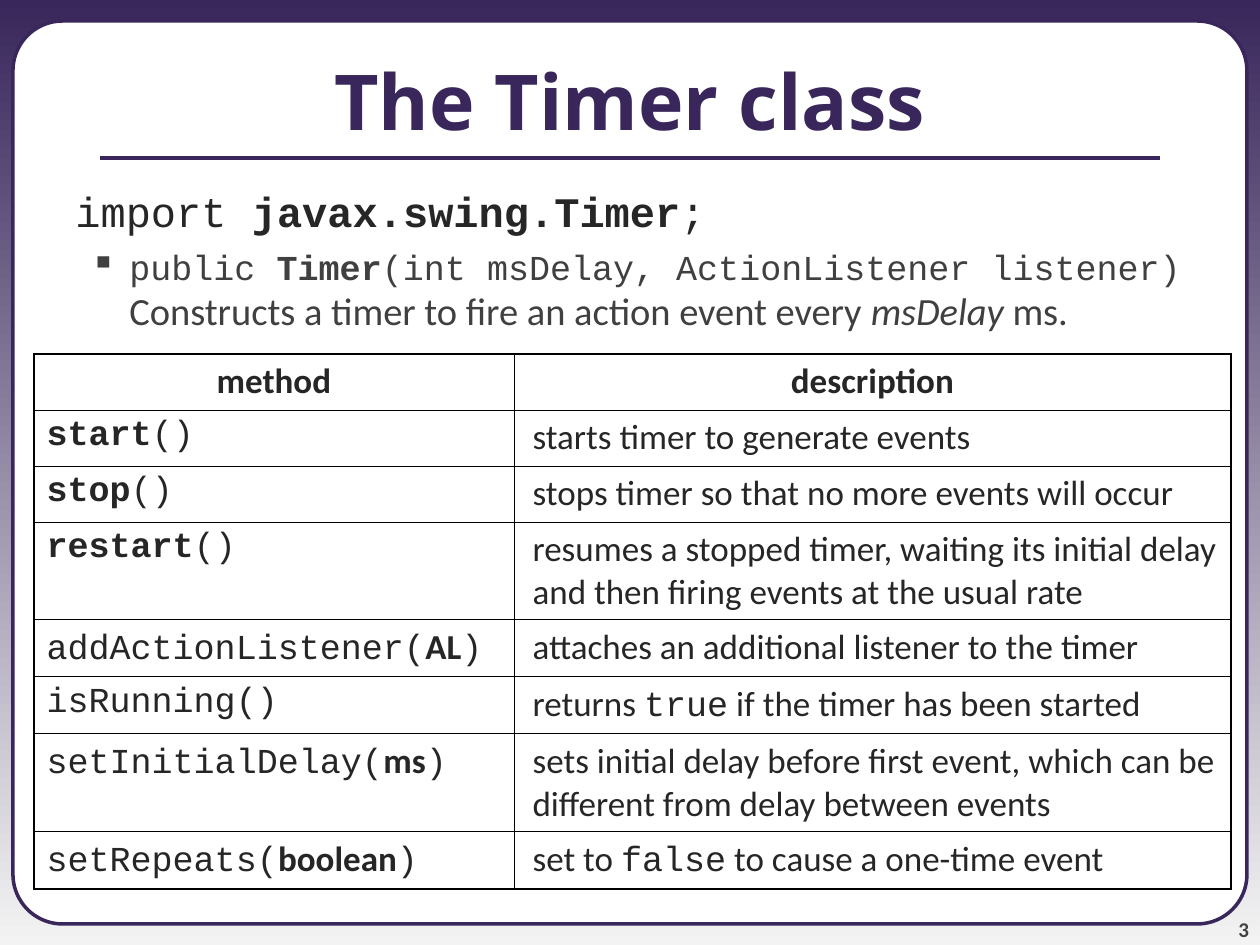
from lxml import etree
from pptx import Presentation
from pptx.dml.color import RGBColor
from pptx.enum.shapes import MSO_CONNECTOR, MSO_SHAPE
from pptx.enum.text import MSO_ANCHOR, PP_ALIGN
from pptx.oxml.ns import qn
from pptx.util import Pt

LINE = MSO_CONNECTOR.STRAIGHT
ROUNDED = MSO_SHAPE.ROUNDED_RECTANGLE
TOP, MIDDLE, BOTTOM = MSO_ANCHOR.TOP, MSO_ANCHOR.MIDDLE, MSO_ANCHOR.BOTTOM
LEFT, CENTER, RIGHT = PP_ALIGN.LEFT, PP_ALIGN.CENTER, PP_ALIGN.RIGHT

PURPLE = RGBColor(0x39, 0x27, 0x5B)
PALE = RGBColor(0xF3, 0xF3, 0xF3)
WHITE = RGBColor(0xFF, 0xFF, 0xFF)
DARK = RGBColor(0x26, 0x26, 0x26)
GREY = RGBColor(0x40, 0x40, 0x40)
NUMBER_GREY = RGBColor(0x42, 0x42, 0x42)

SANS, MONO, HEADING = "Calibri", "Courier New", "Open Sans"
SCALE = 914400 / 126

COLUMNS = [480, 717]
ROW_HEIGHTS = [56, 56, 56, 98, 57, 57, 98, 57]
METHODS = [
    ([("start", MONO, True), ("()", MONO)],
     [("starts timer to generate events", SANS)]),
    ([("stop", MONO, True), ("()", MONO)],
     [("stops timer so that no more events will occur", SANS)]),
    ([("restart", MONO, True), ("()", MONO)],
     [("resumes a stopped timer, waiting its initial delay "
       "and then firing events at the usual rate", SANS)]),
    ([("addActionListener(", MONO), ("AL", SANS, True), (")", MONO)],
     [("attaches an additional listener to the timer", SANS)]),
    ([("isRunning()", MONO)],
     [("returns ", SANS), ("true", MONO),
      (" if the timer has been started", SANS)]),
    ([("setInitialDelay(", MONO), ("ms", SANS, True), (")", MONO)],
     [("sets initial delay before first event, which can be "
       "different from delay between events", SANS)]),
    ([("setRepeats(", MONO), ("boolean", SANS, True), (")", MONO)],
     [("set to ", SANS), ("false", MONO),
      (" to cause a one-time event", SANS)]),
]


def px(n):
    """Turn pixels into EMU."""
    return round(n * SCALE)


def style_paragraph(p, size, color, align=LEFT, before=0, font=None, bold=None):
    """Set the common format of a paragraph."""
    p.alignment = align
    p.space_before = Pt(before)
    p.font.size = Pt(size)
    p.font.color.rgb = color
    p.font.name = font
    p.font.bold = bold


def indent(p, left, first=0, bullet=None):
    """Set the indents and bullet of a paragraph."""
    pPr = p._p.get_or_add_pPr()
    pPr.set("marL", str(px(left)))
    pPr.set("indent", str(px(first)))
    if bullet:
        bu = etree.Element(qn("a:buChar"), char=bullet)
        pPr.find(qn("a:defRPr")).addprevious(bu)


def add_run(p, text, font=None, bold=None, italic=None, size=None):
    """Add a run, setting only what differs from its paragraph."""
    r = p.add_run()
    r.text = text
    r.font.name = font
    r.font.bold = bold
    r.font.italic = italic
    if size:
        r.font.size = Pt(size)


def add_textbox(s, x, y, w, h, anchor=TOP):
    """Add a wrapping text box and return its text frame."""
    tf = s.shapes.add_textbox(px(x), px(y), px(w), px(h)).text_frame
    tf.word_wrap = True
    tf.vertical_anchor = anchor
    return tf


def add_label(s, box, text, anchor, **style):
    """Add a one-paragraph text box."""
    tf = add_textbox(s, *box, anchor)
    p = tf.paragraphs[0]
    style_paragraph(p, **style)
    add_run(p, text)
    return tf


def add_frame(s):
    """Draw the gradient background, white panel and title rule."""
    fill = s.background.fill
    fill.gradient()
    fill.gradient_angle = 270
    for stop, color in zip(fill.gradient_stops, (PURPLE, PALE)):
        stop.color.rgb = color
    panel = s.shapes.add_shape(ROUNDED, px(13), px(21), px(1234), px(903))
    panel.adjustments[0] = 0.055
    panel.shadow.inherit = False
    panel.fill.solid()
    panel.fill.fore_color.rgb = WHITE
    rule = s.shapes.add_connector(LINE, px(100), px(158), px(1160), px(158))
    etree.SubElement(rule._element.spPr, qn("a:effectLst"))
    for sp, width in ((panel, 2), (rule, 2.25)):
        sp.line.color.rgb = PURPLE
        sp.line.width = Pt(width)


def add_body(s):
    """Add the import statement and the constructor bullet."""
    tf = add_textbox(s, 0, 179, 1260, 766)
    p = tf.paragraphs[0]
    style_paragraph(p, 24, DARK, before=6, font=MONO)
    indent(p, 63)
    add_run(p, "import ")
    add_run(p, "javax.swing.Timer", bold=True)
    add_run(p, ";")
    p = tf.add_paragraph()
    style_paragraph(p, 20, GREY, before=5.5)
    indent(p, 117, -39, "▪")
    add_run(p, "public ", MONO)
    add_run(p, "Timer", MONO, bold=True)
    add_run(p, "(int msDelay, ActionListener listener)", MONO)
    p.add_line_break()
    add_run(p, "Constructs a timer to fire an action event every ", SANS, size=22)
    add_run(p, "msDelay", SANS, italic=True, size=22)
    add_run(p, " ms.", SANS, size=22)


def set_borders(cell, **widths):
    """Give a cell black borders of the stated widths."""
    tcPr = cell._tc.get_or_add_tcPr()
    for side, width in widths.items():
        ln = etree.SubElement(tcPr, qn(f"a:ln{side}"), w=str(Pt(width)))
        fill = etree.SubElement(ln, qn("a:solidFill"))
        etree.SubElement(fill, qn("a:srgbClr"), val="000000")


def add_methods_table(s):
    """Add the table of methods with a heavier outer border."""
    header = ([("method", SANS, True)], [("description", SANS, True)])
    rows = [header] + METHODS
    shape = s.shapes.add_table(len(rows), len(COLUMNS), px(34), px(354),
                               px(sum(COLUMNS)), px(sum(ROW_HEIGHTS)))
    table = shape.table
    table.first_row = table.horz_banding = False
    for column, width in zip(table.columns, COLUMNS):
        column.width = px(width)
    for i, (row, height) in enumerate(zip(rows, ROW_HEIGHTS)):
        table.rows[i].height = px(height)
        for j, runs in enumerate(row):
            cell = table.cell(i, j)
            set_borders(cell,
                        L=1.08 if j == 0 else 0.45,
                        R=1.08 if j == len(COLUMNS) - 1 else 0.45,
                        T=1.08 if i == 0 else 0.45,
                        B=1.08 if i == len(rows) - 1 else 0.45)
            cell.fill.solid()
            cell.fill.fore_color.rgb = WHITE
            p = cell.text_frame.paragraphs[0]
            style_paragraph(p, 20, DARK, LEFT if i else CENTER, before=5)
            if i and j:
                indent(p, 6)
            for run in runs:
                add_run(p, *run)


def main():
    """Build and save the slide."""
    prs = Presentation()
    prs.slide_width, prs.slide_height = px(1260), px(945)
    s = prs.slides.add_slide(prs.slide_layouts[6])
    add_frame(s)
    tf = add_label(s, (1144, 892, 105, 50), "3", BOTTOM, size=12,
                   color=NUMBER_GREY, align=RIGHT, before=5, font=SANS, bold=True)
    tf.margin_left = tf.margin_top = tf.margin_right = tf.margin_bottom = 0
    add_label(s, (0, 21, 1260, 158), "The Timer class", MIDDLE, size=44,
              color=PURPLE, align=CENTER, font=HEADING, bold=True)
    add_body(s)
    add_methods_table(s)
    prs.save("out.pptx")


if __name__ == "__main__":
    main()
